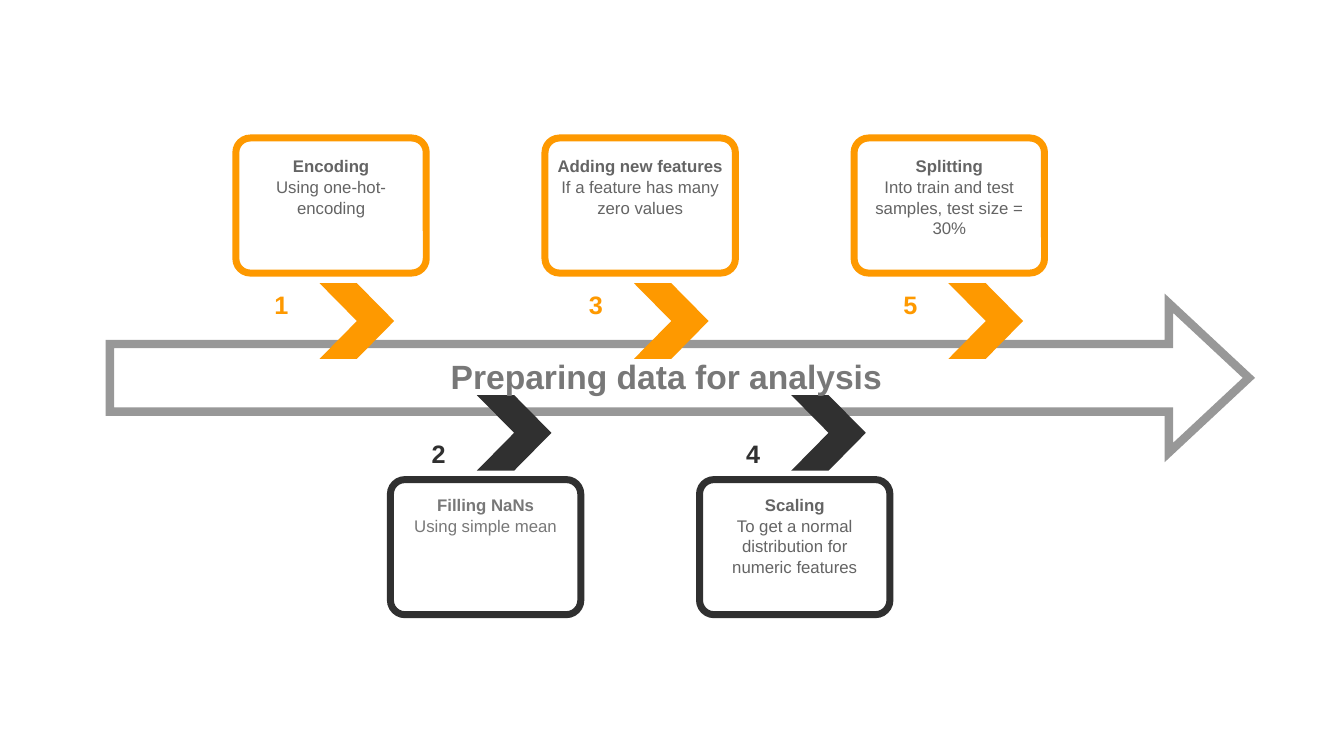
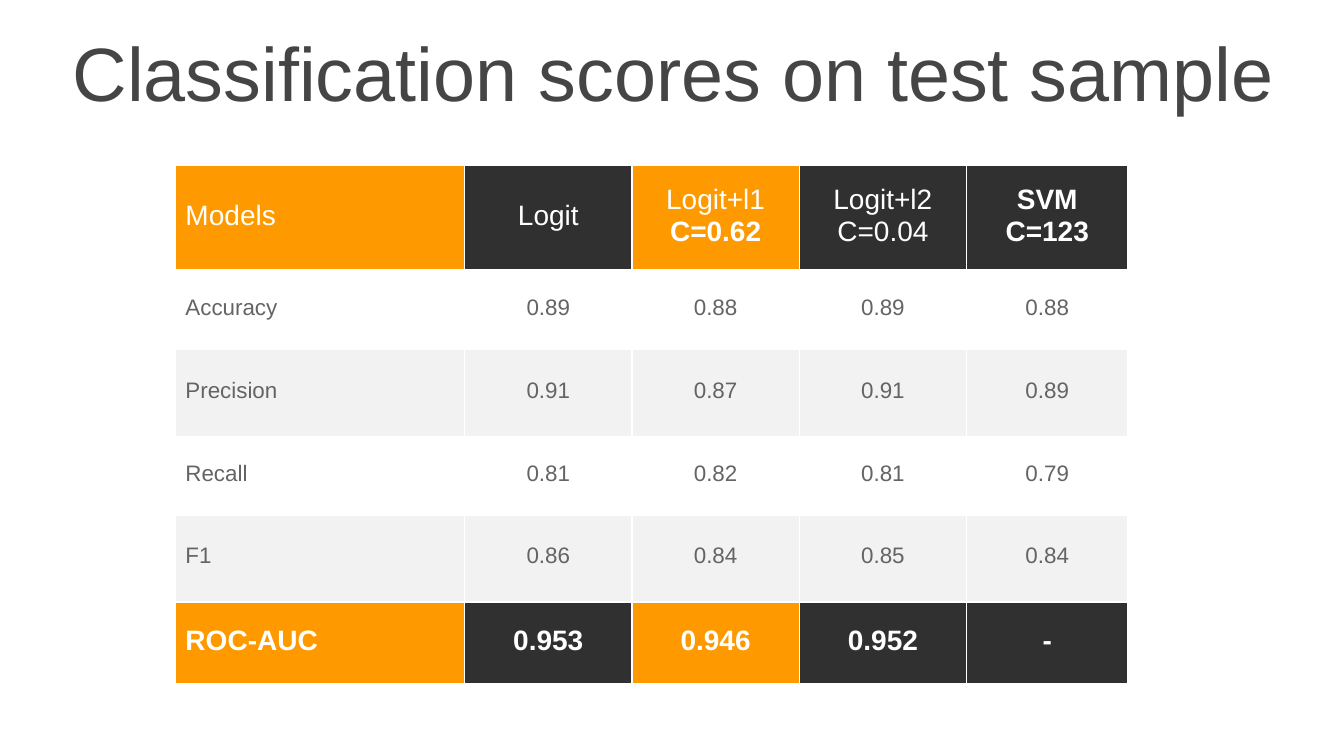
from dataclasses import dataclass

import lxml.etree
import pptx
import pptx.dml.color
import pptx.enum.shapes
import pptx.enum.text
import pptx.oxml.ns
import pptx.util

Pt = pptx.util.Pt
Shape = pptx.enum.shapes.MSO_SHAPE
Align = pptx.enum.text.PP_ALIGN
Anchor = pptx.enum.text.MSO_ANCHOR
qn = pptx.oxml.ns.qn


@dataclass(frozen=True)
class Theme:
    font: str = "Arial"
    orange: str = "FE9900"
    dark: str = "303030"
    white: str = "FFFFFF"
    band: str = "F2F2F2"
    outline: str = "989898"
    heading: str = "454545"
    label: str = "787878"
    body: str = "646464"
    title_size: int = 54
    label_size: int = 24
    header_size: int = 20
    number_size: int = 18
    value_size: int = 16
    card_size: int = 12


THEME = Theme()

STEPS = [
    ("Encoding", "Using one-hot-encoding", 2, THEME.body),
    ("Filling NaNs", "Using simple mean", 1, THEME.label),
    ("Adding new features", "If a feature has many zero values", 2, THEME.body),
    ("Scaling", "To get a normal distribution for numeric features", 3, THEME.body),
    ("Splitting", "Into train and test samples, test size = 30%", 3, THEME.body),
]

MODELS = [
    [("Models", False)],
    [("Logit", False)],
    [("Logit+l1", False), ("C=0.62", True)],
    [("Logit+l2", False), ("C=0.04", False)],
    [("SVM", True), ("С=123", True)],
]
SCORES = [
    ("Accuracy", "0.89", "0.88", "0.89", "0.88"),
    ("Precision", "0.91", "0.87", "0.91", "0.89"),
    ("Recall", "0.81", "0.82", "0.81", "0.79"),
    ("F1", "0.86", "0.84", "0.85", "0.84"),
]
ROC_AUC = ("ROC-AUC", "0.953", "0.946", "0.952", "-")


def rgb(color):
    return pptx.dml.color.RGBColor.from_string(color)


def write(frame, lines, size, color, align=Align.CENTER):
    frame.text = "\n".join(text for text, bold in lines)
    for paragraph, (text, bold) in zip(frame.paragraphs, lines):
        paragraph.alignment = align
        font = paragraph.runs[0].font
        font.name, font.size, font.bold = THEME.font, Pt(size), bold
        font.color.rgb = rgb(color)


def add_text(slide, box, text, size, color, bold=False):
    frame = slide.shapes.add_textbox(*map(Pt, box)).text_frame
    frame.word_wrap = True
    write(frame, [(text, bold)], size, color)
    return frame


def add_figure(slide, kind, box, fill, line=None, weight=0, adjustments=()):
    figure = slide.shapes.add_shape(kind, *map(Pt, box))
    figure.shadow.inherit = False
    figure.fill.solid()
    figure.fill.fore_color.rgb = rgb(fill)
    for index, value in enumerate(adjustments):
        figure.adjustments[index] = value
    if line:
        figure.line.color.rgb = rgb(line)
        figure.line.width = Pt(weight)
        outline = figure.line._get_or_add_ln()
        lxml.etree.SubElement(outline, qn("a:miter"), lim="800000")
    else:
        figure.line.fill.background()


def add_card(slide, box, step, accent, padding):
    left, top, width, height = box
    name, detail, line_count, color = step
    add_figure(slide, Shape.ROUNDED_RECTANGLE, box, THEME.white, accent, 5, [0.107])
    text_left, text_width = left + 1, width - 2
    add_text(slide, (text_left, top + padding, text_width, 21.6),
             name, THEME.card_size, color, True)
    add_text(slide, (text_left, top + padding + 15, text_width, 7.2 + 14.4 * line_count),
             detail, THEME.card_size, color)


def add_step(slide, box, index, step):
    left, top, width, height = box
    above = index % 2 == 0
    accent = THEME.orange if above else THEME.dark
    chevron_left = left + 149.8 + 112.3 * index
    chevron_top = top + (103.7 if above else 183.6)
    number_top = top + (104.4 if above else 211)
    card_top = top if above else top + 244
    add_figure(slide, Shape.CHEVRON, (chevron_left, chevron_top, 53.3, 54), accent)
    add_text(slide, (chevron_left - 64, number_top, 73.4, 29),
             str(index + 1), THEME.number_size, accent, True)
    add_card(slide, (left + 90 + 110.4 * index, card_top, 136, 96.5),
             step, accent, 9.4 if above else 7.4)


def add_timeline(slide, box):
    left, top, width, height = box
    add_figure(slide, Shape.RIGHT_ARROW, (left, top + 118, width, 106.6),
               THEME.white, THEME.outline, 6, [0.453, 0.536])
    for index, step in enumerate(STEPS):
        add_step(slide, box, index, step)
    add_text(slide, (left + 226.8, top + 152, 341.3, 36),
             "Preparing data for analysis", THEME.label_size, THEME.label, True)


def add_title(slide, box, text):
    frame = add_text(slide, box, text, THEME.title_size, THEME.heading)
    frame.vertical_anchor = Anchor.MIDDLE
    frame.paragraphs[0].line_spacing = 0.9
    frame.paragraphs[0].space_before = Pt(10)


def set_borders(cell, weights):
    properties = cell._tc.get_or_add_tcPr()
    for side, weight in zip(("L", "R", "T", "B"), weights):
        edge = lxml.etree.SubElement(properties, qn(f"a:ln{side}"), w=str(Pt(weight)))
        fill = lxml.etree.SubElement(edge, qn("a:solidFill"))
        lxml.etree.SubElement(fill, qn("a:srgbClr"), val=THEME.white)


def fill_cell(cell, lines, size, color, fill, first_column, weights):
    cell.margin_left = cell.margin_right = Pt(7.2)
    cell.margin_top, cell.margin_bottom = Pt(0), Pt(3.6)
    cell.vertical_anchor = Anchor.MIDDLE
    set_borders(cell, weights)
    cell.fill.solid()
    cell.fill.fore_color.rgb = rgb(fill)
    write(cell.text_frame, lines, size, color,
          Align.LEFT if first_column else Align.CENTER)


def add_scores(slide, box):
    rows = [MODELS]
    rows += [[[(text, False)] for text in row] for row in SCORES]
    rows.append([[(text, True)] for text in ROC_AUC])
    last = len(rows) - 1
    scores = slide.shapes.add_table(len(rows), len(MODELS), *map(Pt, box)).table
    scores.first_row = scores.horz_banding = False
    for column, share in zip(scores.columns, (2.87, 1.66, 1.66, 1.66, 1.6)):
        column.width = Pt(round(box[2] * share / 9.45, 2))
    for row, share in zip(scores.rows, (1.05, 0.78, 0.86, 0.78, 0.86, 0.81)):
        row.height = Pt(round(box[3] * share / 5.14, 2))
    for r, row in enumerate(rows):
        accented = r in (0, last)
        size = THEME.header_size if accented else THEME.value_size
        color = THEME.white if accented else THEME.body
        weights = (1, 1, 3 if r == 1 else 1, 3 if r == 0 else 1)
        for c, lines in enumerate(row):
            if accented:
                fill = THEME.orange if c in (0, 2) else THEME.dark
            else:
                fill = THEME.white if r % 2 else THEME.band
            fill_cell(scores.cell(r, c), lines, size, color, fill, c == 0, weights)


def main():
    deck = pptx.Presentation()
    deck.slide_width, deck.slide_height = Pt(960), Pt(540)
    blank = deck.slide_layouts[6]
    add_timeline(deck.slides.add_slide(blank), (78.5, 98.6, 813.6, 340.5))
    results = deck.slides.add_slide(blank)
    add_title(results, (25.2, 26.6, 911.5, 56.9), "Classification scores on test sample")
    add_scores(results, (125.3, 118.1, 680.4, 370.4))
    deck.save("out.pptx")


if __name__ == "__main__":
    main()
